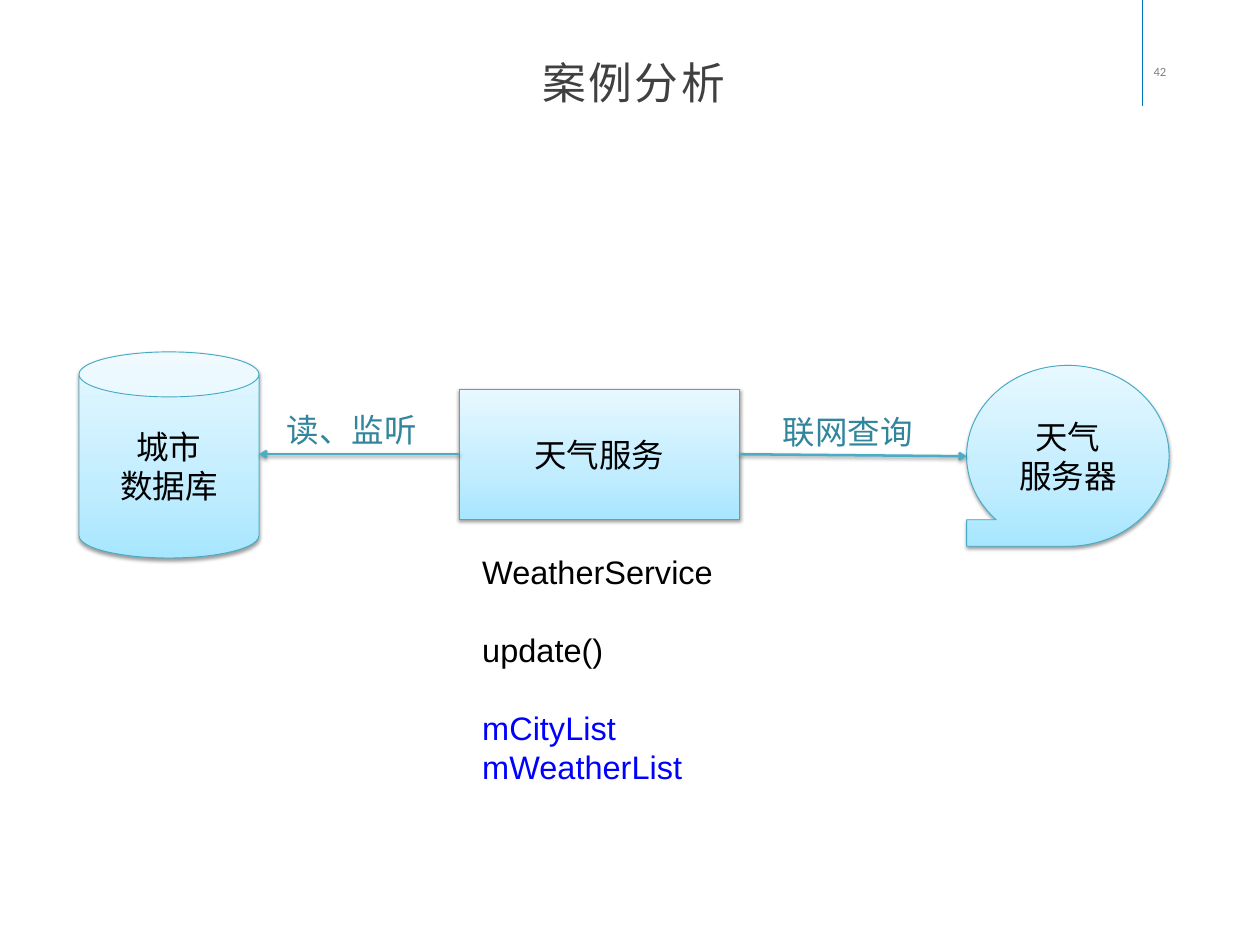
from copy import deepcopy

from lxml.etree import SubElement
from pptx import Presentation
from pptx.dml.color import RGBColor
from pptx.enum.shapes import MSO_CONNECTOR, MSO_SHAPE
from pptx.enum.text import MSO_ANCHOR, PP_ALIGN
from pptx.oxml.ns import qn
from pptx.util import Pt

BLACK = RGBColor(0x00, 0x00, 0x00)
BLUE = RGBColor(0x00, 0x00, 0xFF)
TITLE_GRAY = RGBColor(0x40, 0x40, 0x40)
NUMBER_GRAY = RGBColor(0x7F, 0x7F, 0x7F)
RULE_BLUE = RGBColor(0x00, 0x76, 0xB8)
NODE_LINE = RGBColor(0x46, 0xAA, 0xC5)
ARROW_TEAL = RGBColor(0x4B, 0xAC, 0xC6)
LABEL_TEAL = RGBColor(0x31, 0x85, 0x9C)
NODE_STOPS = [
    (0, RGBColor(0xA7, 0xE6, 0xFF)),
    (0.35, RGBColor(0xC1, 0xED, 0xFF)),
    (1, RGBColor(0xE7, 0xF8, 0xFF)),
]
BODY_SIZE = 26
CODE_LINE = 31.2


def set_effects(shape, shadow=True):
    """Replace the theme effects with a soft shadow below, or with none."""
    effects = SubElement(shape._element.spPr, qn("a:effectLst"))
    if shadow:
        outer = SubElement(effects, qn("a:outerShdw"), blurRad=str(Pt(3.1)),
                           dist=str(Pt(1.6)), dir="5400000", rotWithShape="0")
        color = SubElement(outer, qn("a:srgbClr"), val=str(BLACK))
        SubElement(color, qn("a:alpha"), val="38000")


def write_lines(text_frame, lines, size, font, color, align=PP_ALIGN.LEFT):
    text_frame.text = "\n".join(lines)
    for paragraph in text_frame.paragraphs:
        paragraph.alignment = align
        paragraph.font.size = Pt(size)
        paragraph.font.name = font
        paragraph.font.color.rgb = color


def add_text(slide, box, lines, size, font, color, align=PP_ALIGN.LEFT, wrap=False):
    shape = slide.shapes.add_textbox(*map(Pt, box))
    shape.text_frame.word_wrap = wrap
    write_lines(shape.text_frame, lines, size, font, color, align)
    return shape


def add_node(slide, kind, box, lines):
    shape = slide.shapes.add_shape(kind, *map(Pt, box))
    shape.fill.gradient()
    shape.fill.gradient_angle = 90
    stop_list = shape._element.spPr.find(qn("a:gradFill")).find(qn("a:gsLst"))
    stop_list.insert(1, deepcopy(stop_list[0]))
    for stop, (position, color) in zip(shape.fill.gradient_stops, NODE_STOPS):
        stop.position = position
        stop.color.rgb = color
    shape.line.color.rgb = NODE_LINE
    shape.line.width = Pt(0.75)
    set_effects(shape)
    shape.text_frame.word_wrap = True
    shape.text_frame.vertical_anchor = MSO_ANCHOR.MIDDLE
    write_lines(shape.text_frame, lines, BODY_SIZE, "Calibri", BLACK, PP_ALIGN.CENTER)
    return shape


def add_line(slide, start, end, color, width):
    connector = slide.shapes.add_connector(
        MSO_CONNECTOR.STRAIGHT, *map(Pt, start + end))
    connector.line.color.rgb = color
    connector.line.width = Pt(width)
    return connector


def add_arrow(slide, source, site, start, end):
    connector = add_line(slide, start, end, ARROW_TEAL, 2)
    connector.begin_connect(source, site)
    SubElement(connector.line._get_or_add_ln(), qn("a:tailEnd"), type="arrow")
    set_effects(connector)


def add_header(slide):
    rule = add_line(slide, (913.7, -3), (913.7, 85), RULE_BLUE, 0.5)
    set_effects(rule, shadow=False)
    add_text(slide, (915.8, 47.5, 49, 19.5), ["42"], 10, "Calibri", NUMBER_GRAY, wrap=True)

    title = add_text(slide, (78.5, 35.3, 857, 72.7), ["案例分析"], 35,
                     "Noto Sans CJK SC", TITLE_GRAY, PP_ALIGN.CENTER, wrap=True)
    frame = title.text_frame
    frame.margin_left = frame.margin_right = Pt(10)
    frame.margin_top = frame.margin_bottom = Pt(5)
    paragraph = frame.paragraphs[0]
    paragraph.line_spacing = 1.1
    paragraph.runs[0]._r.get_or_add_rPr().set("spc", "200")


def add_members(slide):
    members = add_text(slide, (378.7, 437.8, 201, 227.5),
                       ["WeatherService", "update()", "mCityList", "mWeatherList"],
                       BODY_SIZE, "Arial", BLACK)
    paragraphs = members.text_frame.paragraphs
    for paragraph in paragraphs:
        paragraph.line_spacing = Pt(CODE_LINE)
    for paragraph in paragraphs[1:3]:
        paragraph.space_before = Pt(CODE_LINE)
    for paragraph in paragraphs[2:]:
        paragraph.font.color.rgb = BLUE


def main():
    presentation = Presentation()
    presentation.slide_width = Pt(1008)
    presentation.slide_height = Pt(756)
    slide = presentation.slides.add_slide(presentation.slide_layouts[6])

    add_header(slide)

    # Service, database and server
    service = add_node(slide, MSO_SHAPE.RECTANGLE, (367.2, 311.2, 224.6, 104.4), ["天气服务"])
    add_node(slide, MSO_SHAPE.CAN, (63.2, 281.5, 144, 164.9), ["城市", "数据库"])
    server = add_node(slide, MSO_SHAPE.FLOWCHART_SEQUENTIAL_ACCESS_STORAGE,
                      (773.3, 292.3, 162, 144.7), ["天气", "服务器"])
    server._element.spPr.xfrm.set("flipH", "1")

    # Arrows from the service, with their labels
    add_arrow(slide, service, 1, (367.2, 363.4), (207.2, 363.4))
    add_arrow(slide, service, 3, (591.8, 363.4), (773.3, 365))
    for left, top, label in [(222.5, 324.7, "读、监听"), (619.2, 326.2, "联网查询")]:
        add_text(slide, (left, top, 120.2, 38.9), [label], BODY_SIZE, "Arial", LABEL_TEAL)

    # Class members below the service
    add_members(slide)

    presentation.save("out.pptx")


if __name__ == "__main__":
    main()
